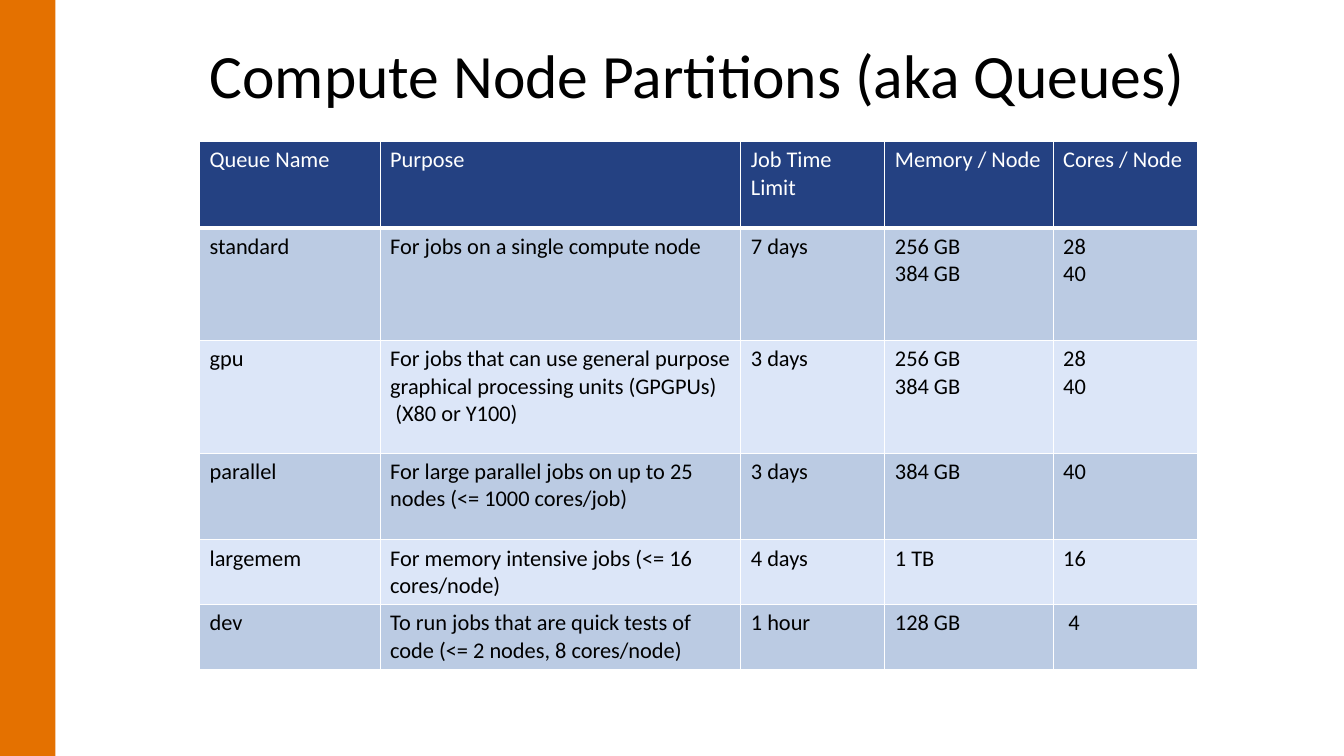
from dataclasses import dataclass

from lxml import etree
from pptx import Presentation
from pptx.dml.color import RGBColor
from pptx.enum import shapes, text
from pptx.oxml import ns
from pptx.util import Cm, Pt


@dataclass(frozen=True)
class Theme:
    font: str = "Calibri"
    title: int = 44
    body: int = 16
    ink: str = "000000"
    white: str = "FFFFFF"
    bar: str = "E47100"
    head: str = "244182"
    bands: tuple[str, str] = ("BBCBE3", "DCE6F8")
    rule: int = 1
    thick: int = 3


@dataclass(frozen=True)
class Column:
    name: str
    width: float


@dataclass(frozen=True)
class Queue:
    name: str
    purpose: str
    limit: str
    memory: str
    cores: str
    height: float

    def cells(self) -> tuple[str, ...]:
        return self.name, self.purpose, self.limit, self.memory, self.cores


THEME = Theme()
HEAD_HEIGHT = 2.18
COLUMNS = [
    Column("Queue Name", 4.55),
    Column("Purpose", 9.09),
    Column("Job Time Limit", 3.63),
    Column("Memory / Node", 4.24),
    Column("Cores / Node", 3.63),
]
QUEUES = [
    Queue("standard", "For jobs on a single compute node", "7 days",
          "256 GB\n384 GB", "28\n40", 2.84),
    Queue("gpu", "For jobs that can use general purpose graphical processing "
          "units (GPGPUs)\n (X80 or Y100)", "3 days",
          "256 GB\n384 GB", "28\n40", 2.84),
    Queue("parallel", "For large parallel jobs on up to 25 nodes "
          "(<= 1000 cores/job)", "3 days", "384 GB", "40", 2.18),
    Queue("largemem", "For memory intensive jobs (<= 16 cores/node)",
          "4 days", "1 TB", "16", 1.63),
    Queue("dev", "To run jobs that are quick tests of code "
          "(<= 2 nodes, 8 cores/node)", "1 hour", "128 GB", " 4", 1.63),
]


def write(frame, words: str, *, size: int = THEME.body,
          color: str = THEME.ink, spacing: float = 1.0) -> None:
    """Fill a text frame, one paragraph for each line of words."""
    frame.text = words
    frame.word_wrap = True
    frame.vertical_anchor = text.MSO_ANCHOR.TOP
    for para in frame.paragraphs:
        para.alignment = text.PP_ALIGN.LEFT
        para.line_spacing = spacing
        for run in para.runs:
            run.font.name = THEME.font
            run.font.size = Pt(size)
            run.font.color.rgb = RGBColor.from_string(color)


def border(cell, base: int) -> None:
    """Rule all four sides in white; base is the width of the bottom one."""
    props = cell._tc.get_or_add_tcPr()
    for side in "LRTB":
        width = base if side == "B" else THEME.rule
        line = etree.SubElement(props, ns.qn(f"a:ln{side}"), w=str(Pt(width)))
        fill = etree.SubElement(line, ns.qn("a:solidFill"))
        etree.SubElement(fill, ns.qn("a:srgbClr"), val=THEME.white)


def add_row(table, index: int, height: float, words: tuple[str, ...], *,
            fill: str, color: str = THEME.ink, base: int = THEME.rule) -> None:
    table.rows[index].height = Cm(height)
    for cell, word in zip(table.rows[index].cells, words):
        write(cell.text_frame, word, color=color)
        border(cell, base)
        cell.fill.solid()
        cell.fill.fore_color.rgb = RGBColor.from_string(fill)


def add_bar(slide, height: int) -> None:
    bar = slide.shapes.add_shape(shapes.MSO_SHAPE.RECTANGLE, 0, 0, Cm(1.4), height)
    bar.shadow.inherit = False
    bar.fill.solid()
    bar.fill.fore_color.rgb = RGBColor.from_string(THEME.bar)
    bar.line.fill.background()


def add_title(slide, words: str) -> None:
    title = slide.shapes.title
    title.left, title.top = Cm(5.03), Cm(1.02)
    title.width, title.height = Cm(26.67), Cm(3.68)
    write(title.text_frame, words, size=THEME.title, spacing=0.9)


def add_queues(slide) -> None:
    width = sum(col.width for col in COLUMNS)
    height = HEAD_HEIGHT + sum(queue.height for queue in QUEUES)
    table = slide.shapes.add_table(
        len(QUEUES) + 1, len(COLUMNS),
        Cm(5.03), Cm(3.56), Cm(width), Cm(height)).table
    for slot, col in zip(table.columns, COLUMNS):
        slot.width = Cm(col.width)
    add_row(table, 0, HEAD_HEIGHT, tuple(col.name for col in COLUMNS),
            fill=THEME.head, color=THEME.white, base=THEME.thick)
    for index, queue in enumerate(QUEUES):
        add_row(table, index + 1, queue.height, queue.cells(),
                fill=THEME.bands[index % 2])


def main() -> None:
    deck = Presentation()
    deck.slide_width, deck.slide_height = Cm(33.87), Cm(19.05)
    slide = deck.slides.add_slide(deck.slide_layouts.get_by_name("Title Only"))
    add_bar(slide, deck.slide_height)
    add_title(slide, "Compute Node Partitions (aka Queues)")
    add_queues(slide)
    deck.save("out.pptx")


if __name__ == "__main__":
    main()
